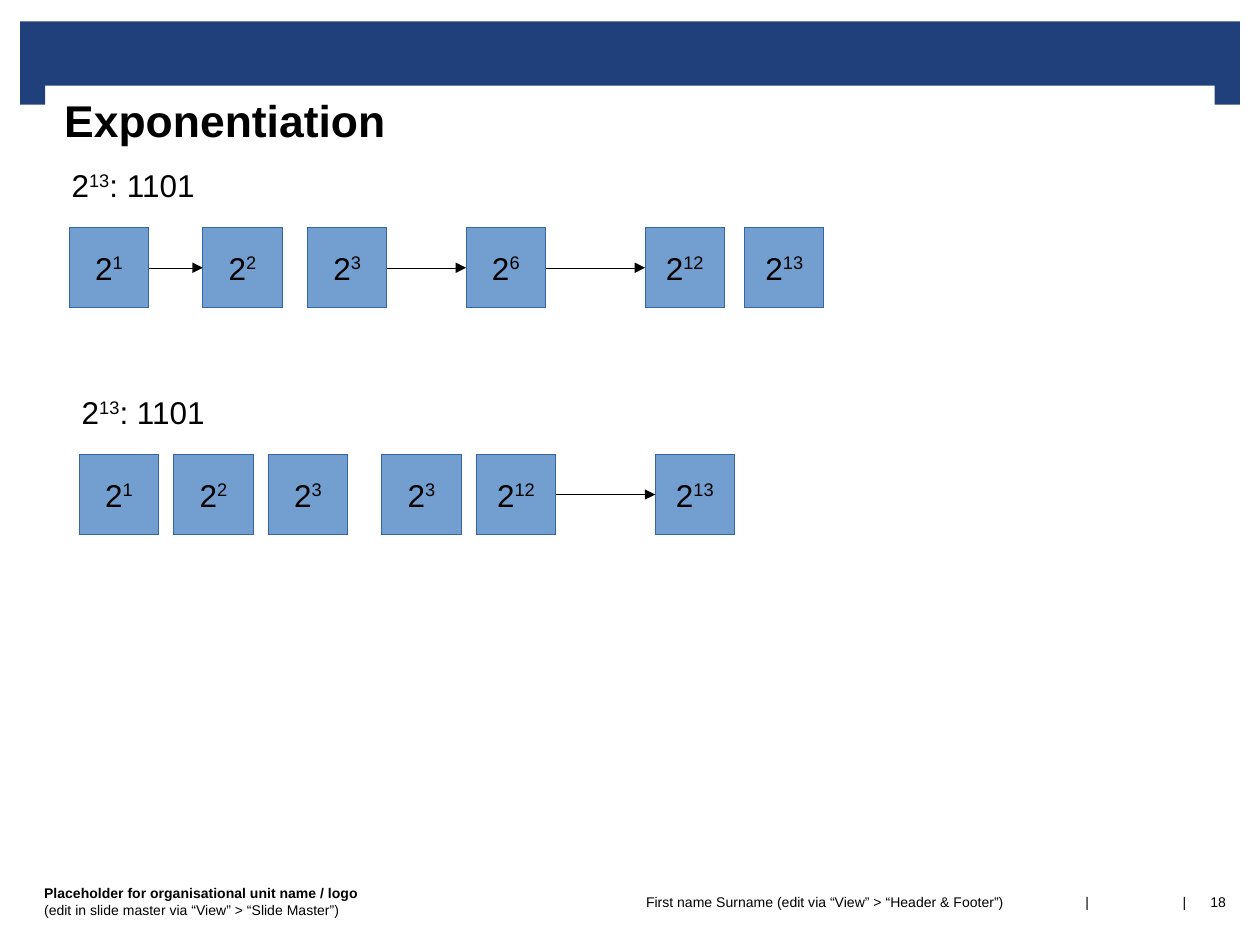
from lxml import etree
from pptx import Presentation
from pptx.dml.color import RGBColor
from pptx.enum.shapes import MSO_CONNECTOR, MSO_SHAPE
from pptx.enum.text import MSO_ANCHOR, PP_ALIGN
from pptx.oxml.ns import qn
from pptx.util import Inches, Pt

NAVY = RGBColor(0x1F, 0x40, 0x7A)
BLUE = RGBColor(0x72, 0x9F, 0xCF)
EDGE = RGBColor(0x34, 0x65, 0xA4)
BLACK = RGBColor(0, 0, 0)

RECTANGLE = MSO_SHAPE.RECTANGLE
STRAIGHT = MSO_CONNECTOR.STRAIGHT
TOP, MIDDLE = MSO_ANCHOR.TOP, MSO_ANCHOR.MIDDLE
LEFT, CENTER, RIGHT = PP_ALIGN.LEFT, PP_ALIGN.CENTER, PP_ALIGN.RIGHT

SQUARE = 0.63
LEFT_SIDE, RIGHT_SIDE = 1, 3


def set_font(para, size, bold=None):
    font = para.font
    font.name, font.size, font.bold = "Arial", Pt(size), bold
    font.color.rgb = BLACK


def set_hairline(line, color):
    """Colour a line and make it hairline thin, returning its XML element."""
    line.color.rgb = color
    element = line._get_or_add_ln()
    # The width property drops a zero, so the attribute is written directly
    element.set("w", "0")
    return element


def add_rectangle(page, left, top, width, height, fill):
    shape = page.shapes.add_shape(
        RECTANGLE, Inches(left), Inches(top), Inches(width), Inches(height))
    shape.shadow.inherit = False
    shape.fill.solid()
    shape.fill.fore_color.rgb = fill
    shape.line.fill.background()
    return shape


def add_text(page, left, top, width, height, text="", size=8, bold=None,
             align=LEFT, anchor=MIDDLE, insets=(0, 0, 0, 0)):
    box = page.shapes.add_textbox(
        Inches(left), Inches(top), Inches(width), Inches(height))
    frame = box.text_frame
    frame.word_wrap = True
    frame.vertical_anchor = anchor
    (frame.margin_left, frame.margin_top,
     frame.margin_right, frame.margin_bottom) = map(Inches, insets)
    para = frame.paragraphs[0]
    para.alignment = align
    if text:
        para.add_run().text = text
    set_font(para, size, bold)
    return para


def add_power(para, exponent, rest=""):
    """Write 2 with a raised exponent, then any text that follows it."""
    para.add_run().text = "2"
    span = para.add_run()
    span.text = exponent
    span.font._element.set("baseline", "33000")
    if rest:
        para.add_run().text = rest


def add_square(page, left, top, exponent):
    square = add_rectangle(page, left, top, SQUARE, SQUARE, BLUE)
    set_hairline(square.line, EDGE)
    frame = square.text_frame
    frame.word_wrap = False
    frame.vertical_anchor = MIDDLE
    para = frame.paragraphs[0]
    para.alignment = CENTER
    set_font(para, 18)
    add_power(para, exponent)
    return square


def add_arrow(page, start, end):
    arrow = page.shapes.add_connector(STRAIGHT, 0, 0, 0, 0)
    arrow.begin_connect(start, RIGHT_SIDE)
    arrow.end_connect(end, LEFT_SIDE)
    line = set_hairline(arrow.line, BLACK)
    etree.SubElement(line, qn("a:tailEnd"), type="triangle")
    etree.SubElement(arrow._element.spPr, qn("a:effectLst"))


def add_chain(page, left, top, steps, arrows):
    """Label above a row of squares; arrows lists the squares they start from."""
    label = add_text(page, left, top, 1.4, 0.38, size=18, anchor=TOP,
                     insets=(0.1, 0.05, 0.1, 0.05))
    add_power(label, "13", ": 1101")
    squares = [add_square(page, left + 0.08 + offset, top + 0.54, exponent)
               for offset, exponent in steps]
    for index in arrows:
        add_arrow(page, squares[index], squares[index + 1])


def add_header(page, left, top, width):
    # Band with a short tab hanging from each end
    tab = 0.2
    add_rectangle(page, left, top, width, 0.51, NAVY)
    for tab_left in (left, left + width - tab):
        add_rectangle(page, tab_left, top + 0.48, tab, 0.18, NAVY)
    add_text(page, 0.35, 0.68, 9.29, 1.06, "Exponentiation", 25.4, True,
             anchor=TOP, insets=(0.16, 0.06, 0.16, 0))


def add_footer(page, top, height):
    unit = add_text(page, 0.35, top, 4.21, height)
    name = unit.add_run()
    name.text = "Placeholder for organisational unit name / logo"
    name.font.bold = True
    unit.add_line_break()
    unit.add_run().text = "(edit in slide master via “View” > “Slide Master”)"
    add_text(page, 4.57, top, 4.02, height,
             "First name Surname (edit via “View” > “Header & Footer”)",
             align=RIGHT, insets=(0, 0, 0.62, 0))
    for left in (8.58, 9.35):
        add_text(page, left, top, 0.1, height, "|", align=CENTER)
    add_text(page, 9.53, top, 0.2, height, "18", align=RIGHT)


def main():
    deck = Presentation()
    deck.slide_width, deck.slide_height = Inches(10), Inches(7.5)
    page = deck.slides.add_slide(deck.slide_layouts[6])

    add_header(page, 0.16, 0.17, 9.68)
    # Square and multiply, bit by bit
    add_chain(page, 0.47, 1.27,
              [(0, "1"), (1.06, "2"), (1.89, "3"), (3.15, "6"),
               (4.57, "12"), (5.36, "13")], arrows=(0, 2, 3))
    # Shorter chain with several bits at once
    add_chain(page, 0.55, 3.07,
              [(0, "1"), (0.75, "2"), (1.5, "3"), (2.4, "3"),
               (3.15, "12"), (4.57, "13")], arrows=(4,))
    add_footer(page, 6.9, 0.51)
    deck.save("out.pptx")


if __name__ == "__main__":
    main()
